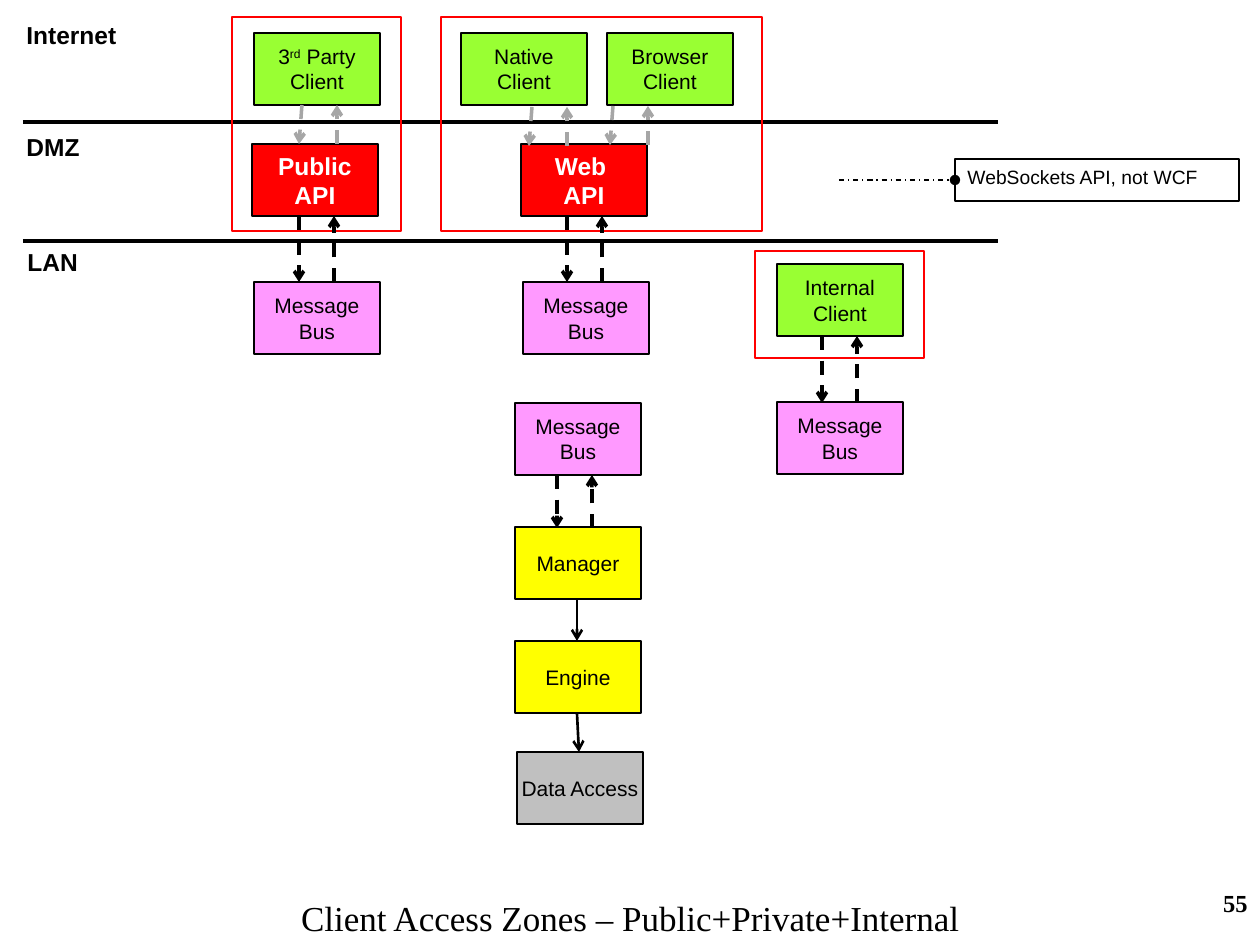
from lxml import etree
from pptx import Presentation
from pptx import util as u
from pptx.dml.color import RGBColor
from pptx.enum import dml, shapes, text
from pptx.oxml.ns import qn

PX = 914400 / 126  # EMU per pixel
BOX_W, BOX_H = 126, 72
BLACK, WHITE, GREY, RED = "000000", "FFFFFF", "A6A6A6", "FF0000"
GREEN, PINK, YELLOW, SILVER = "99FF33", "FF99FF", "FFFF00", "C0C0C0"
DASH = dml.MSO_LINE.DASH
LEFT, CENTER, RIGHT = text.PP_ALIGN.LEFT, text.PP_ALIGN.CENTER, text.PP_ALIGN.RIGHT


def px(*lengths):
    return [u.Emu(round(length * PX)) for length in lengths]


def rgb(color):
    return RGBColor.from_string(color)


def write(frame, words, size=12, font="Arial", color=BLACK, bold=False,
          align=CENTER, wrap=False, anchor=text.MSO_ANCHOR.TOP):
    """One paragraph per line; words between ^ marks are superscript."""
    frame.word_wrap = wrap
    frame.vertical_anchor = anchor
    for i, line in enumerate(words.split("\n")):
        paragraph = frame.add_paragraph() if i else frame.paragraphs[0]
        paragraph.alignment = align
        for j, part in enumerate(line.split("^")):
            run = paragraph.add_run()
            run.text = part
            run.font.size = u.Pt(size)
            run.font.name = font
            run.font.bold = bold
            run.font.color.rgb = rgb(color)
            if j % 2:
                run.font._element.set("baseline", "30000")


def label(slide, x, y, w, h, words, **style):
    write(slide.shapes.add_textbox(*px(x, y, w, h)).text_frame, words, **style)


def rectangle(slide, x, y, w, h, fill=None, line=BLACK, weight=0.75):
    rect = slide.shapes.add_shape(shapes.MSO_SHAPE.RECTANGLE, *px(x, y, w, h))
    rect.shadow.inherit = False
    if fill:
        rect.fill.solid()
        rect.fill.fore_color.rgb = rgb(fill)
    else:
        rect.fill.background()
    rect.line.color.rgb = rgb(line)
    rect.line.width = u.Pt(weight)
    return rect


def component(slide, x, y, words, fill, **style):
    box = rectangle(slide, x, y, BOX_W, BOX_H, fill)
    write(box.text_frame, words, anchor=text.MSO_ANCHOR.MIDDLE, **style)


def connect(slide, x1, y1, x2, y2, color=BLACK, weight=2, dash=None, end=None):
    line = slide.shapes.add_connector(
        shapes.MSO_CONNECTOR.STRAIGHT, *px(x1, y1, x2, y2))
    line.line.color.rgb = rgb(color)
    line.line.width = u.Pt(weight)
    if dash:
        line.line.dash_style = dash
    if end:
        etree.SubElement(line.line._get_or_add_ln(), qn("a:tailEnd"), type=end)
    etree.SubElement(line._element.spPr, qn("a:effectLst"))


def exchange(slide, x, top, bottom, gap=35, slant=0, color=BLACK):
    """Dashed request going down and dashed reply coming up."""
    style = dict(color=color, dash=DASH, end="arrow")
    connect(slide, x + slant, top, x, bottom, **style)
    connect(slide, x + gap, bottom, x + gap, top, **style)


def main():
    deck = Presentation()
    deck.slide_width, deck.slide_height = px(1260, 945)
    slide = deck.slides.add_slide(deck.slide_layouts[6])

    # Page number and title
    label(slide, 998, 882, 262, 63, "55", size=14, font="Times New Roman",
          bold=True, align=RIGHT, wrap=True)
    label(slide, 287, 890, 687, 55, "Client Access Zones – Public+Private+Internal",
          size=20, font="Times New Roman")

    # Zones and their borders
    for x, y, w, zone in [(14, 14, 116, "Internet"), (14, 126, 79, "DMZ"),
                          (15, 241, 77, "LAN")]:
        label(slide, x, y, w, 43, zone, size=14, bold=True, align=LEFT)
    for border_y in (122, 241):
        connect(slide, 23, border_y, 998, border_y)

    # Clients, services and buses
    for x, y, words, fill in [
        (254, 33, "3^rd^ Party\nClient", GREEN),
        (461, 33, "Native\nClient", GREEN),
        (607, 33, "Browser\nClient", GREEN),
        (777, 264, "Internal\nClient", GREEN),
        (254, 282, "Message\nBus", PINK),
        (523, 282, "Message\nBus", PINK),
        (777, 402, "Message\nBus", PINK),
        (515, 403, "Message\nBus", PINK),
        (515, 527, "Manager", YELLOW),
        (515, 641, "Engine", YELLOW),
        (517, 752, "Data Access", SILVER),
    ]:
        component(slide, x, y, words, fill)
    for x, words in [(252, "Public\nAPI"), (521, "Web \nAPI")]:
        component(slide, x, 144, words, RED, size=14, color=WHITE, bold=True)

    # Access frames: public, private, internal
    for x, y, w, h in [(232, 17, 169, 214), (441, 17, 321, 214),
                       (755, 251, 169, 107)]:
        rectangle(slide, x, y, w, h, line=RED, weight=1.5)

    # Message exchanges
    for x, top, bottom in [(299, 216, 282), (567, 216, 282),
                           (822, 336, 403), (557, 475, 528)]:
        exchange(slide, x, top, bottom)
    for x, top in [(299, 105), (529, 107), (610, 106)]:
        exchange(slide, x, top, top + 39, gap=38, slant=3, color=GREY)

    # Calls down the layers
    connect(slide, 577, 599, 577, 641, weight=1.5, end="arrow")
    connect(slide, 577, 713, 579, 752, weight=1.5, end="arrow")

    # Callout
    note = rectangle(slide, 955, 159, 284, 42, WHITE, weight=1)
    write(note.text_frame, "WebSockets API, not WCF", size=11, align=LEFT, wrap=True)
    connect(slide, 839, 180, 955, 180, weight=0.75,
            dash=dml.MSO_LINE.DASH_DOT, end="oval")

    deck.save("out.pptx")


if __name__ == "__main__":
    main()
